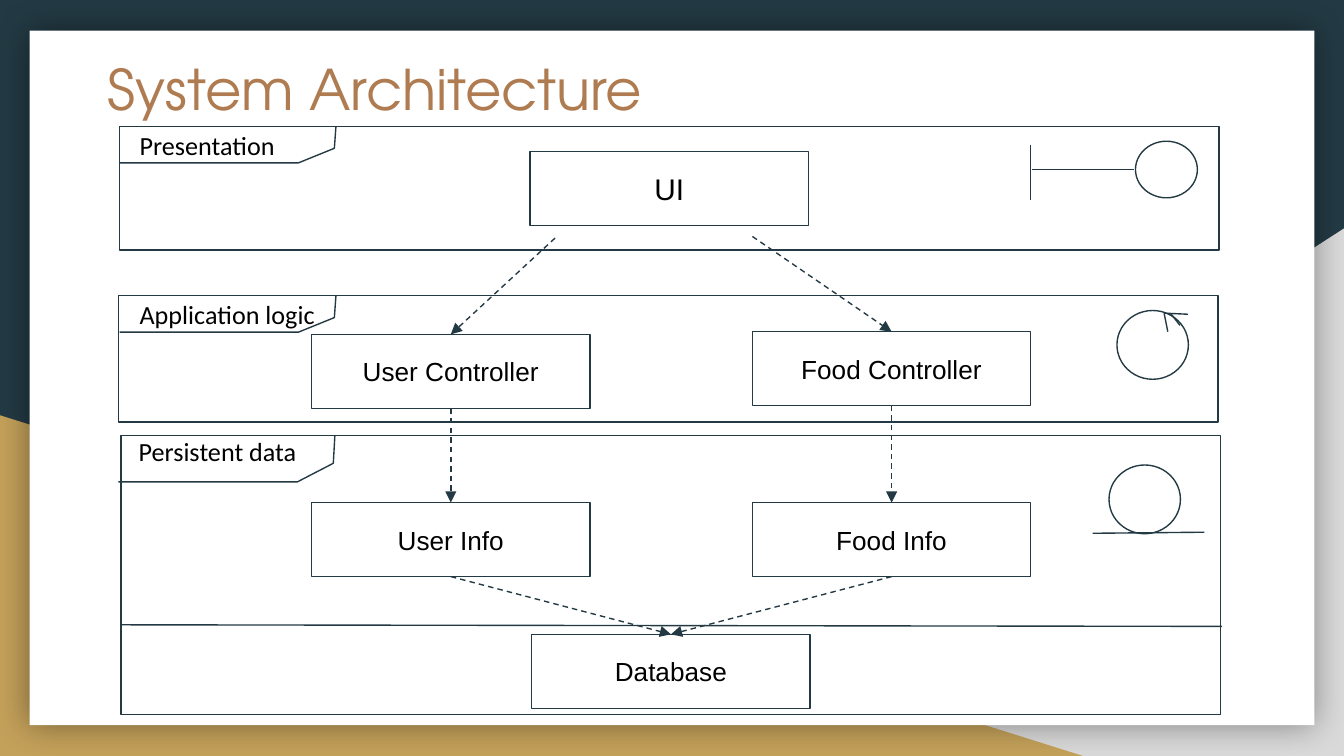
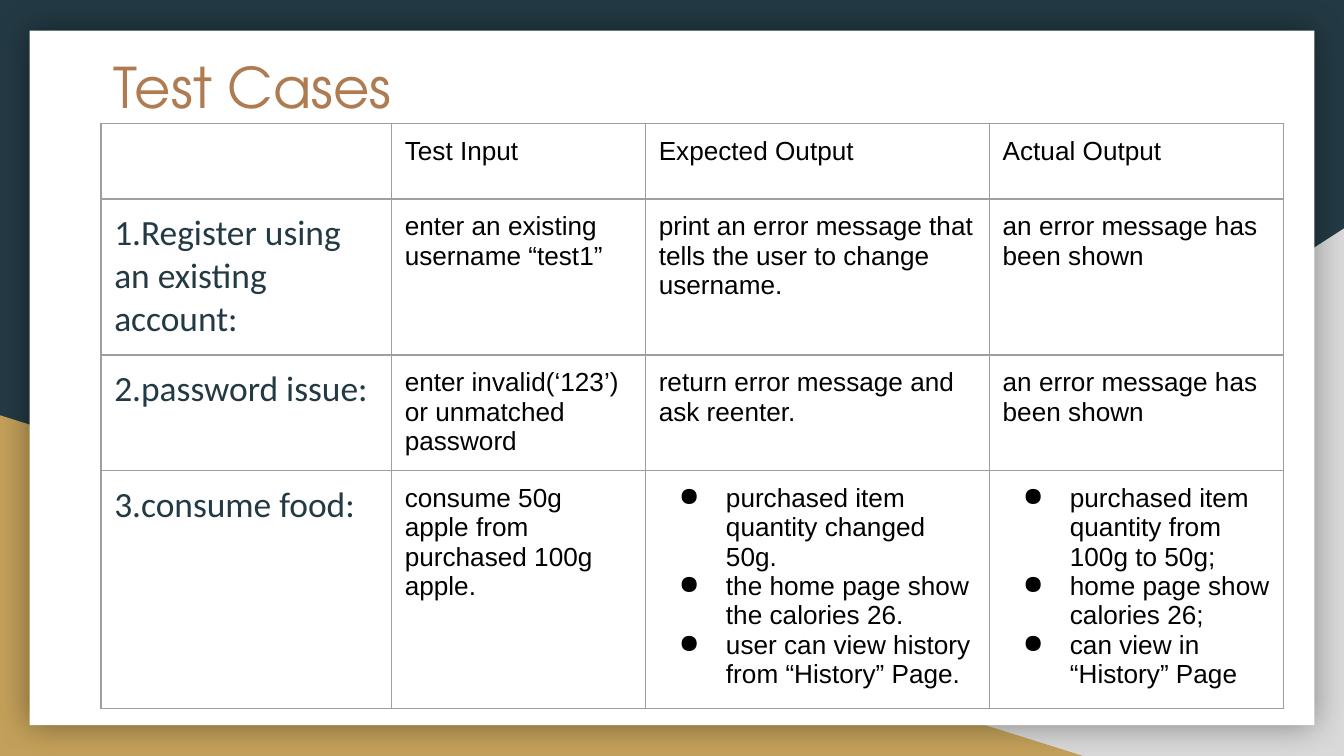
from collections import namedtuple

from lxml import etree
from pptx import Presentation
from pptx import util as u
from pptx.dml.color import RGBColor
from pptx.enum import dml, shapes, text
from pptx.oxml import ns

COLORS = {
    "ink": "233A44", "gold": "C4A15A", "grey": "D9D9D9", "paper": "FFFFFF",
    "title": "AF7B51", "black": "000000", "grid": "9E9E9E",
}
TITLE_FONT, BODY_FONT, LABEL_FONT = "TeX Gyre Adventor", "Arial", "Calibri"
INSET = u.Cm(0.25)
NODE_WIDTH, NODE_HEIGHT = 5.26, 1.4
Box = namedtuple("Box", "left top width height")

TEST_COLUMNS = (5.49, 4.8, 6.5, 5.56)
TEST_ROWS = (1.42, 2.95, 2.18, 4.5)
TEST_CASES = (
    ("", "Test Input", "Expected Output", "Actual Output"),
    ("1.Register using an existing account:",
     "enter an existing username “test1”",
     "print an error message that tells the user to change username.",
     "an error message has been shown"),
    ("2.password issue:",
     "enter invalid(‘123’) or unmatched\npassword",
     "return error message and ask reenter.",
     "an error message has been shown"),
    ("3.consume food:",
     "consume 50g apple from purchased 100g apple.",
     "purchased item quantity changed 50g.\n"
     "the home page show the calories 26.\n"
     "user can view history from “History” Page.",
     "purchased item quantity from 100g to 50g;\n"
     "home page show calories 26;\n"
     "can view in “History” Page"),
)


def rgb(name):
    """Return a palette colour."""
    return RGBColor.from_string(COLORS[name])


def add_xml(parent, tag, **attributes):
    """Append a namespaced child element."""
    return etree.SubElement(parent, ns.qn(tag), **attributes)


def add_bullet(paragraph):
    """Give a paragraph a round bullet with a hanging indent."""
    props = paragraph._p.get_or_add_pPr()
    props.set("marL", str(u.Cm(1.27)))
    props.set("indent", str(u.Cm(-0.89)))
    add_xml(add_xml(props, "a:buClr"), "a:srgbClr", val=COLORS["black"])
    add_xml(props, "a:buChar", char="●")


def write(holder, content, size=14, font=BODY_FONT, color="black",
          align=text.PP_ALIGN.LEFT, anchor=text.MSO_ANCHOR.TOP, bullets=False):
    """Fill a shape or table cell with formatted paragraphs."""
    frame = holder.text_frame
    framed = frame if hasattr(holder, "shape_type") else holder
    for side in ("left", "right", "top", "bottom"):
        setattr(framed, "margin_" + side, INSET)
    framed.vertical_anchor = anchor
    framed.word_wrap = True
    for index, line in enumerate(content.split("\n")):
        paragraph = frame.add_paragraph() if index else frame.paragraphs[0]
        paragraph.alignment = align
        if bullets:
            add_bullet(paragraph)
        run = paragraph.add_run()
        run.text = line
        run.font.size = u.Pt(size)
        run.font.name = font
        run.font.color.rgb = rgb(color)


def outline(shape):
    """Apply the thin dark line used throughout the diagram."""
    shape.line.color.rgb = rgb("ink")
    shape.line.width = u.Pt(0.75)


def add_figure(slide, kind, box, fill=None, lined=True):
    """Add a preset shape in a box given in centimetres."""
    figure = slide.shapes.add_shape(kind, *map(u.Cm, box))
    figure.shadow.inherit = False
    if fill:
        figure.fill.solid()
        figure.fill.fore_color.rgb = rgb(fill)
    else:
        figure.fill.background()
    if lined:
        outline(figure)
    else:
        figure.line.fill.background()
    return figure


def add_line(slide, start, end):
    """Add a straight line between two points in centimetres."""
    line = slide.shapes.add_connector(
        shapes.MSO_CONNECTOR.STRAIGHT, *map(u.Cm, (*start, *end)))
    outline(line)
    add_xml(line.element.spPr, "a:effectLst")
    return line


def add_strokes(slide, left, top, strokes):
    """Draw lines given relative to a corner."""
    for x1, y1, x2, y2 in strokes:
        add_line(slide, (left + x1, top + y1), (left + x2, top + y2))


def add_arrow(slide, source, target, start=None):
    """Draw a dashed arrow from a node, or a free point, to the top of a node."""
    arrow = add_line(slide, start or (0, 0), (0, 0))
    if start is None:
        arrow.begin_connect(source, 2)
    arrow.end_connect(target, 0)
    arrow.line.dash_style = dml.MSO_LINE.DASH
    add_xml(arrow.element.spPr.find(ns.qn("a:ln")), "a:tailEnd", type="triangle")


def build_backdrop(slide):
    """Put the dark ground, triangles and paper on the slide's layout."""
    layout = slide.slide_layout
    layout.background.fill.solid()
    layout.background.fill.fore_color.rgb = rgb("ink")
    triangle = shapes.MSO_SHAPE.RIGHT_TRIANGLE
    corner = add_figure(slide, triangle, (9.96, 4.32, 15.44, 9.97), "grey", False)
    corner.element.spPr.xfrm.set("flipH", "1")
    wedge = add_figure(slide, triangle, (0, 7.85, 20.47, 6.44), "gold", False)
    paper = add_figure(slide, shapes.MSO_SHAPE.RECTANGLE,
                       (0.56, 0.58, 24.28, 13.13), "paper", False)
    effects = paper.element.spPr.find(ns.qn("a:effectLst"))
    shadow = add_xml(effects, "a:outerShdw", blurRad=str(u.Pt(18)), dist="0",
                     dir="0", algn="ctr", rotWithShape="0")
    shade = add_xml(shadow, "a:srgbClr", val=COLORS["black"])
    add_xml(shade, "a:alpha", val="40000")
    for depth, part in enumerate((corner, wedge, paper), start=2):
        layout.shapes.element.insert(depth, part.element)


def set_title(slide, content, left, top):
    """Place and format the title placeholder."""
    title = slide.shapes.title
    title.left, title.top = u.Cm(left), u.Cm(top)
    title.width, title.height = u.Cm(20.85), u.Cm(2.64)
    write(title, content, size=30, font=TITLE_FONT, color="title")
    title.text_frame.auto_size = text.MSO_AUTO_SIZE.NONE


def add_lane(slide, lane, label, tab_height=0.69, tab_shift=0.0, label_rise=0.2):
    """Draw a layer frame with its labelled corner tab."""
    add_figure(slide, shapes.MSO_SHAPE.RECTANGLE, lane, "paper")
    left, top = lane.left + tab_shift, lane.top
    corners = ((3.38, tab_height), (4.06, tab_height * 0.6), (4.09, 0))
    pen = slide.shapes.build_freeform(u.Cm(left), u.Cm(top + tab_height))
    pen.add_line_segments(
        [(u.Cm(left + x), u.Cm(top + y)) for x, y in corners], close=False)
    tab = pen.convert_to_shape()
    tab.shadow.inherit = False
    tab.fill.background()
    outline(tab)
    caption = slide.shapes.add_textbox(
        *map(u.Cm, (left + 0.13, top - label_rise, 4.27, 1.12)))
    write(caption, label, font=LABEL_FONT)


def add_node(slide, lane, label, shift, drop, size=14):
    """Add a component box, shifted from the centre line of its lane."""
    left = lane.left + (lane.width - NODE_WIDTH) / 2 + shift
    node = add_figure(slide, shapes.MSO_SHAPE.RECTANGLE,
                      (left, lane.top + drop, NODE_WIDTH, NODE_HEIGHT))
    write(node, label, size=size, align=text.PP_ALIGN.CENTER,
          anchor=text.MSO_ANCHOR.MIDDLE)
    return node


def add_icon(slide, left, top, circle, strokes):
    """Draw a stereotype icon: a circle and its strokes."""
    x, y, width, height = circle
    add_figure(slide, shapes.MSO_SHAPE.OVAL, (left + x, top + y, width, height), "paper")
    add_strokes(slide, left, top, strokes)


def build_presentation_lane(slide, lane):
    """Draw the presentation layer and return its node."""
    add_lane(slide, lane, "Presentation")
    add_icon(slide, lane.left + 17.22, lane.top + 0.28, (1.98, 0, 1.17, 1.07),
             ((0, 0.07, 0, 1.11), (0.03, 0.53, 1.96, 0.53)))
    return add_node(slide, lane, "UI", 0, 0.48, size=16)


def build_logic_lane(slide, lane):
    """Draw the application logic layer and return its nodes."""
    add_lane(slide, lane, "Application logic", tab_shift=0.02)
    add_icon(slide, lane.left + 18.87, lane.top + 0.28, (0, 0, 1.35, 1.3),
             ((1.01, 0.05, 1.19, 0.28), (0.91, 0.05, 1.34, 0.07),
              (0.89, 0.05, 0.96, 0.4)))
    return (add_node(slide, lane, "User Controller", -4.11, 0.73),
            add_node(slide, lane, "Food Controller", 4.22, 0.68))


def build_data_lane(slide, lane):
    """Draw the persistent data layer and return its nodes."""
    add_lane(slide, lane, "Persistent data", 0.88, -0.05, 0.25)
    add_strokes(slide, lane.left, lane.top, ((0.02, 3.58, 20.8, 3.61),))
    add_icon(slide, lane.left + 18.67, lane.top + 0.56, (0, 0, 1.35, 1.3),
             ((-0.31, 1.29, 1.8, 1.27),))
    return (add_node(slide, lane, "User Info", -4.16, 1.27),
            add_node(slide, lane, "Food Info", 4.17, 1.27),
            add_node(slide, lane, "Database", 0, 3.76))


def build_architecture(slide):
    """Build the layered architecture diagram."""
    set_title(slide, "System Architecture", 1.78, 0.79)
    ui = build_presentation_lane(slide, Box(2.26, 2.39, 20.78, 2.34))
    controllers = build_logic_lane(slide, Box(2.24, 5.59, 20.78, 2.39))
    *stores, database = build_data_lane(slide, Box(2.29, 8.23, 20.78, 5.28))
    starts = ((10.49, 4.5), (14.22, 4.47))
    for controller, store, start in zip(controllers, stores, starts):
        add_arrow(slide, ui, controller, start)
        add_arrow(slide, controller, store)
        add_arrow(slide, store, database)


def rule_cell(cell):
    """Draw thin grey borders round an unfilled cell."""
    props = cell._tc.get_or_add_tcPr()
    for side in ("L", "R", "T", "B"):
        border = add_xml(props, "a:ln" + side, w=str(u.Pt(0.75)))
        add_xml(add_xml(border, "a:solidFill"), "a:srgbClr", val=COLORS["grid"])
    cell.fill.background()


def build_test_table(slide, left, top):
    """Add the table of test cases."""
    grid = slide.shapes.add_table(
        len(TEST_ROWS), len(TEST_COLUMNS), u.Cm(left), u.Cm(top),
        u.Cm(sum(TEST_COLUMNS)), u.Cm(sum(TEST_ROWS))).table
    grid.first_row = grid.horz_banding = False
    for column, width in zip(grid.columns, TEST_COLUMNS):
        column.width = u.Cm(width)
    for row, height, contents in zip(grid.rows, TEST_ROWS, TEST_CASES):
        row.height = u.Cm(height)
        for index, (cell, content) in enumerate(zip(row.cells, contents)):
            rule_cell(cell)
            if not content:
                continue
            if index == 0:
                write(cell, content, size=19, font=LABEL_FONT, color="ink")
            else:
                write(cell, content, bullets=index > 1 and "\n" in content)


def build_tests(slide):
    """Build the test case slide."""
    set_title(slide, "Test Cases", 1.9, 0.74)
    build_test_table(slide, 1.91, 2.34)


def main():
    """Build and save the presentation."""
    deck = Presentation()
    deck.slide_width, deck.slide_height = u.Cm(25.4), u.Cm(14.29)
    title_only = deck.slide_layouts[5]
    architecture, tests = (deck.slides.add_slide(title_only) for _ in range(2))
    build_backdrop(architecture)
    build_architecture(architecture)
    build_tests(tests)
    deck.save("out.pptx")


if __name__ == "__main__":
    main()
